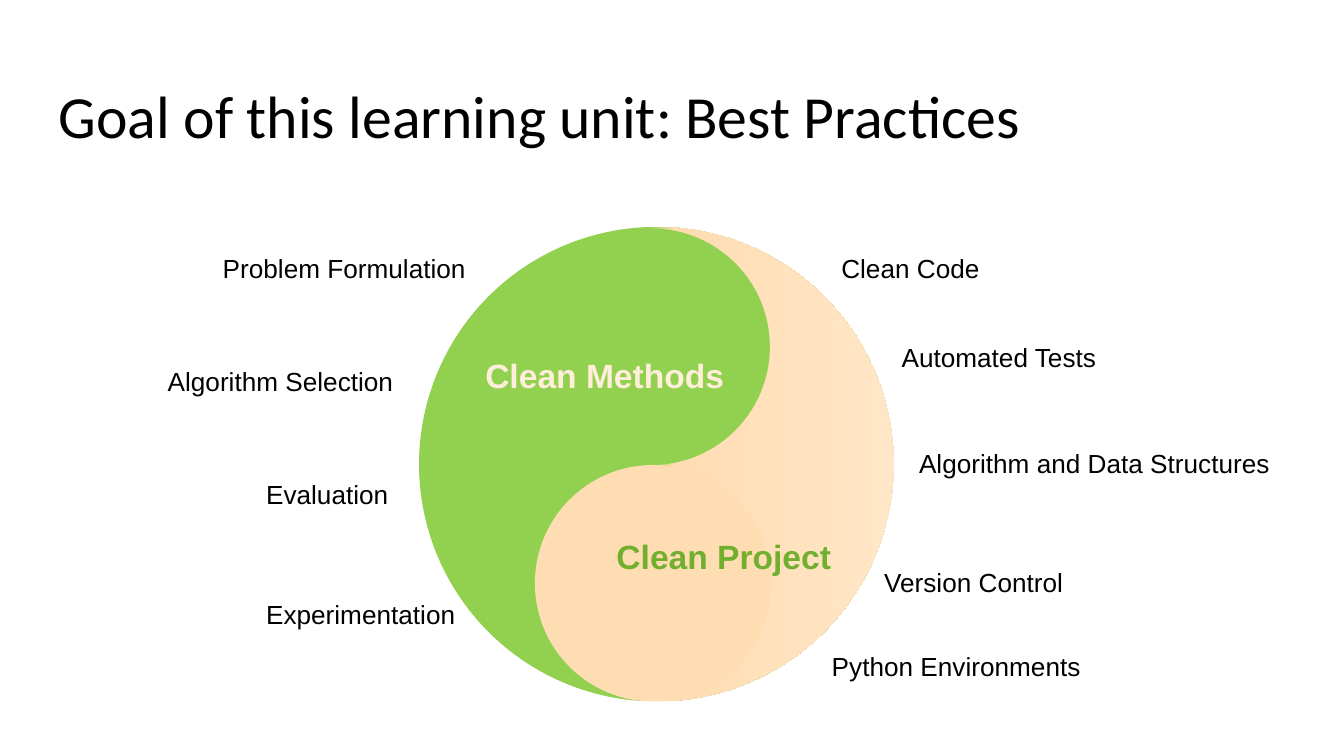
import copy

import pptx
import pptx.dml.color
import pptx.enum.shapes
import pptx.enum.text
import pptx.util

Cm = pptx.util.Cm
RGB = pptx.dml.color.RGBColor
ALIGN = pptx.enum.text.PP_ALIGN

BLACK = RGB(0x00, 0x00, 0x00)
GREEN = RGB(0x92, 0xD0, 0x50)
LEAF = RGB(0x72, 0xAF, 0x2F)
PEACH = RGB(0xFF, 0xDD, 0xB3)
PALE = RGB(0xFF, 0xE6, 0xC6)
CREAM = RGB(0xFF, 0xEE, 0xD9)

BLEND = [(0, GREEN), (0.48, GREEN), (0.54, PEACH), (1, PALE)]

# Text, left, top, width in cm
LABELS = [
    ("Problem Formulation", 3.96, 4.65, 5.13),
    ("Algorithm Selection", 2.92, 6.78, 4.8),
    ("Evaluation", 4.78, 8.92, 2.84),
    ("Experimentation", 4.78, 11.18, 4.11),
    ("Clean Code", 15.65, 4.65, 3.15),
    ("Automated Tests", 16.79, 6.32, 4.27),
    ("Algorithm and Data Structures", 17.12, 8.33, 7.16),
    ("Version Control", 16.46, 10.59, 3.94),
    ("Python Environments", 15.47, 12.17, 5.23),
]


def add_text(slide, text, left, top, width, height=0.86, size=14,
             font="Arial", color=BLACK, bold=False, align=ALIGN.LEFT,
             wrap=False, inset=None):
    box = slide.shapes.add_textbox(Cm(left), Cm(top), Cm(width), Cm(height))
    frame = box.text_frame
    frame.word_wrap = wrap
    if not wrap:
        frame.auto_size = pptx.enum.text.MSO_AUTO_SIZE.SHAPE_TO_FIT_TEXT
    if inset is not None:
        frame.margin_left = frame.margin_right = Cm(inset)
        frame.margin_top = frame.margin_bottom = Cm(inset)
    para = frame.paragraphs[0]
    para.alignment = align
    run = para.add_run()
    run.text = text
    run.font.name = font
    run.font.size = pptx.util.Pt(size)
    run.font.bold = bold
    run.font.color.rgb = color


def add_disc(group, left, top, size, color=None):
    disc = group.shapes.add_shape(
        pptx.enum.shapes.MSO_SHAPE.OVAL, Cm(left), Cm(top), Cm(size), Cm(size))
    disc.shadow.inherit = False
    disc.line.fill.background()
    if color is None:
        blend(disc.fill)
    else:
        disc.fill.solid()
        disc.fill.fore_color.rgb = color


def blend(fill):
    fill.gradient()
    fill.gradient_angle = 0
    # A new gradient has two stops, so extend the list
    stops = fill._fill._gradFill.gsLst
    while len(stops) < len(BLEND):
        stops.append(copy.deepcopy(stops[0]))
    for stop, (place, color) in zip(fill.gradient_stops, BLEND):
        stop.position = place
        stop.color.rgb = color


def main():
    deck = pptx.Presentation()
    deck.slide_width, deck.slide_height = Cm(25.4), Cm(14.29)
    slide = deck.slides.add_slide(deck.slide_layouts[6])

    # Title
    add_text(slide, "Goal of this learning unit: Best Practices",
             0.86, 1.24, 23.67, 1.6, size=32, font="Calibri",
             wrap=True, inset=0.25)

    # Yin and yang
    group = slide.shapes.add_group_shape()
    add_disc(group, 7.92, 4.29, 8.97)
    add_disc(group, 10.08, 4.32, 4.47, GREEN)
    add_disc(group, 10.11, 8.79, 4.47, PEACH)

    # Names of the halves
    head = {"height": 1.02, "size": 18, "bold": True, "align": ALIGN.CENTER}
    add_text(slide, "Clean Project", 11.38, 10.01, 4.6, color=LEAF, **head)
    add_text(slide, "Clean Methods", 8.89, 6.58, 5.08, color=CREAM, **head)

    # Practices around the circle
    for text, left, top, width in LABELS:
        add_text(slide, text, left, top, width)

    deck.save("out.pptx")


if __name__ == "__main__":
    main()
